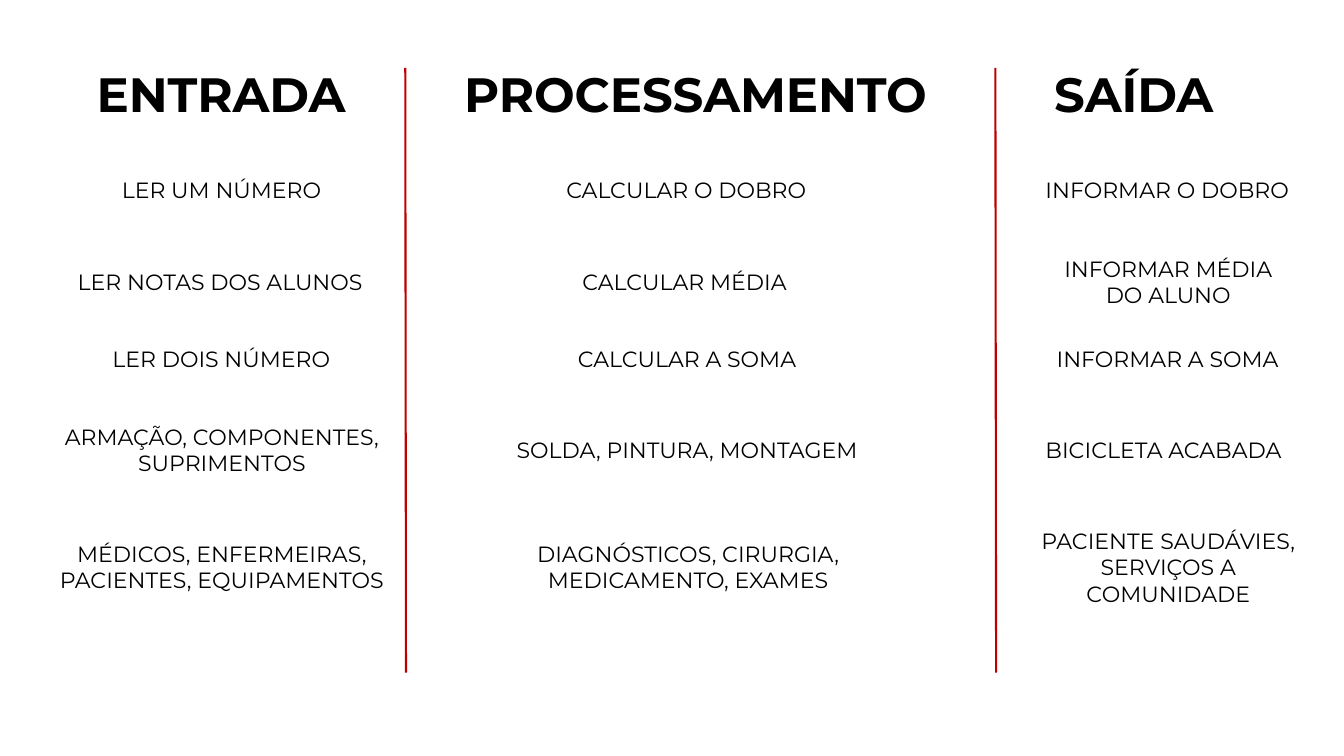
from lxml.etree import SubElement
from pptx import Presentation
from pptx.dml.color import RGBColor
from pptx.enum.shapes import MSO_CONNECTOR
from pptx.enum.text import MSO_AUTO_SIZE, PP_ALIGN
from pptx.oxml.ns import qn
from pptx.util import Emu, Pt

EMU_PER_PX = 9525
TEXT_LINE = 37

# title, title left, title width, centre of the entries below it
COLUMNS = [
    ("ENTRADA", 138, 357, 317),
    ("PROCESSAMENTO", 663, 674, 983),
    ("SAÍDA", 1506, 233, 1669),
]

# row centre, then one (text, width, lines) per column
ROWS = [
    (271, [("LER UM NÚMERO", 286, 1),
           ("CALCULAR O DOBRO", 348, 1),
           ("INFORMAR O DOBRO", 351, 1)]),
    (402, [("LER NOTAS DOS ALUNOS", 412, 1),
           ("CALCULAR MÉDIA", 302, 1),
           ("INFORMAR MÉDIA DO ALUNO", 306, 2)]),
    (513, [("LER DOIS NÚMERO", 313, 1),
           ("CALCULAR A SOMA", 315, 1),
           ("INFORMAR A SOMA", 319, 1)]),
    (642, [("ARMAÇÃO, COMPONENTES, SUPRIMENTOS", 457, 2),
           ("SOLDA, PINTURA, MONTAGEM", 490, 1),
           ("BICICLETA ACABADA", 351, 1)]),
    (809, [("MÉDICOS, ENFERMEIRAS, PACIENTES, EQUIPAMENTOS", 512, 2),
           ("DIAGNÓSTICOS, CIRURGIA, MEDICAMENTO, EXAMES", 432, 2),
           ("PACIENTE SAUDÁVIES, SERVIÇOS A COMUNIDADE", 371, 3)]),
]
DIVIDERS = [579, 1422]


def px(length):
    return Emu(round(length * EMU_PER_PX))


def color(hex_string):
    return RGBColor.from_string(hex_string)


class SlideBuilder:
    FONT = "Montserrat"
    INK = "000000"
    ACCENT = "C00000"

    def __init__(self, slide):
        self.slide = slide

    def text(self, content, left, top, width, height, size, spacing, align):
        box = self.slide.shapes.add_textbox(px(left), px(top), px(width), px(height))
        frame = box.text_frame
        frame.margin_left = frame.margin_top = 0
        frame.margin_right = frame.margin_bottom = 0
        frame.word_wrap = True
        frame.auto_size = MSO_AUTO_SIZE.SHAPE_TO_FIT_TEXT
        paragraph = frame.paragraphs[0]
        paragraph.text = content
        paragraph.alignment = align
        paragraph.line_spacing = Pt(spacing)
        paragraph.font.name = self.FONT
        paragraph.font.size = Pt(size)
        paragraph.font.color.rgb = color(self.INK)
        return paragraph

    def title(self, content, left, width):
        paragraph = self.text(content, left, 107, width, 72, 51.6, 51, PP_ALIGN.LEFT)
        paragraph.font.bold = True
        paragraph.runs[0]._r.get_or_add_rPr().set("spc", "-10")

    def entry(self, content, center_x, center_y, width, lines):
        """Place an entry around its centre; one-line entries are justified."""
        height = lines * TEXT_LINE + 1
        align = PP_ALIGN.JUSTIFY if lines == 1 else PP_ALIGN.CENTER
        self.text(content, center_x - width / 2, center_y - height / 2,
                  width, height, 23.6, 28.4, align)

    def divider(self, x):
        line = self.slide.shapes.add_connector(
            MSO_CONNECTOR.STRAIGHT, px(x), px(97), px(x + 1), px(961))
        line.line.color.rgb = color(self.ACCENT)
        line.line.width = Pt(2.25)
        SubElement(line._element.spPr, qn("a:effectLst"))


def main():
    deck = Presentation()
    deck.slide_width, deck.slide_height = px(1920), px(1080)
    builder = SlideBuilder(deck.slides.add_slide(deck.slide_layouts[6]))

    for title, left, width, _ in COLUMNS:
        builder.title(title, left, width)
    for x in DIVIDERS:
        builder.divider(x)
    for center_y, entries in ROWS:
        for (_, _, _, center_x), (content, width, lines) in zip(COLUMNS, entries):
            builder.entry(content, center_x, center_y, width, lines)

    deck.save("out.pptx")


if __name__ == "__main__":
    main()
